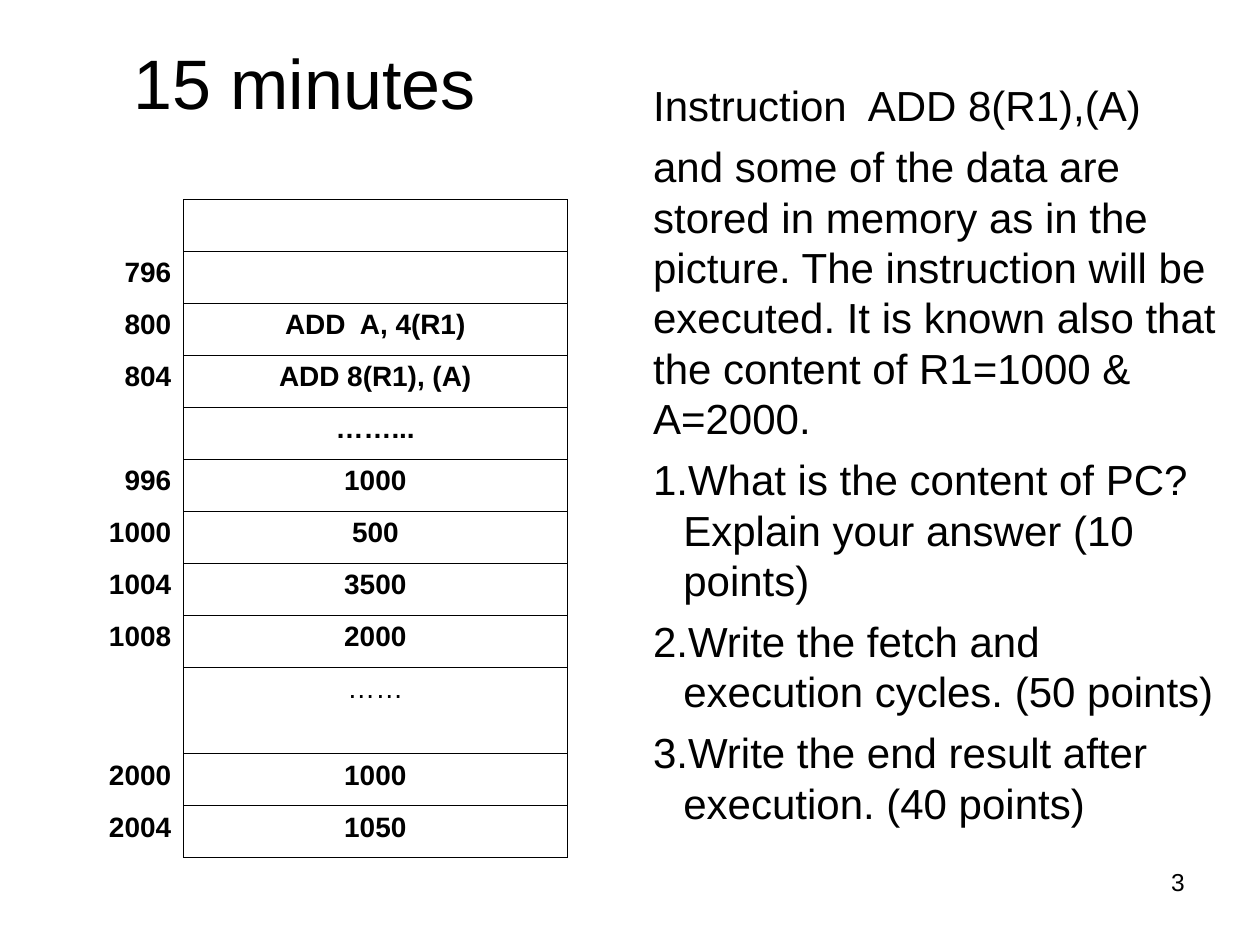
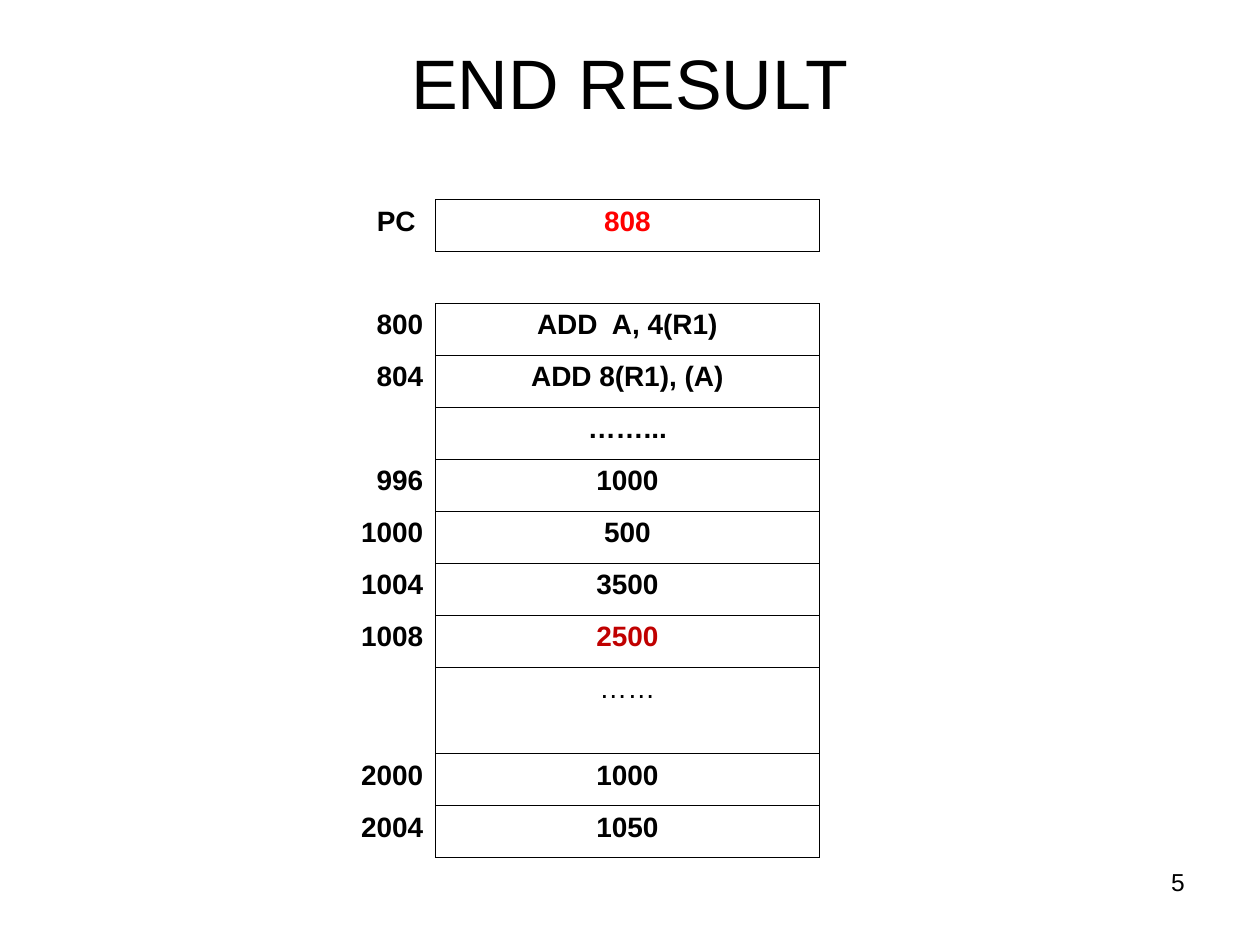
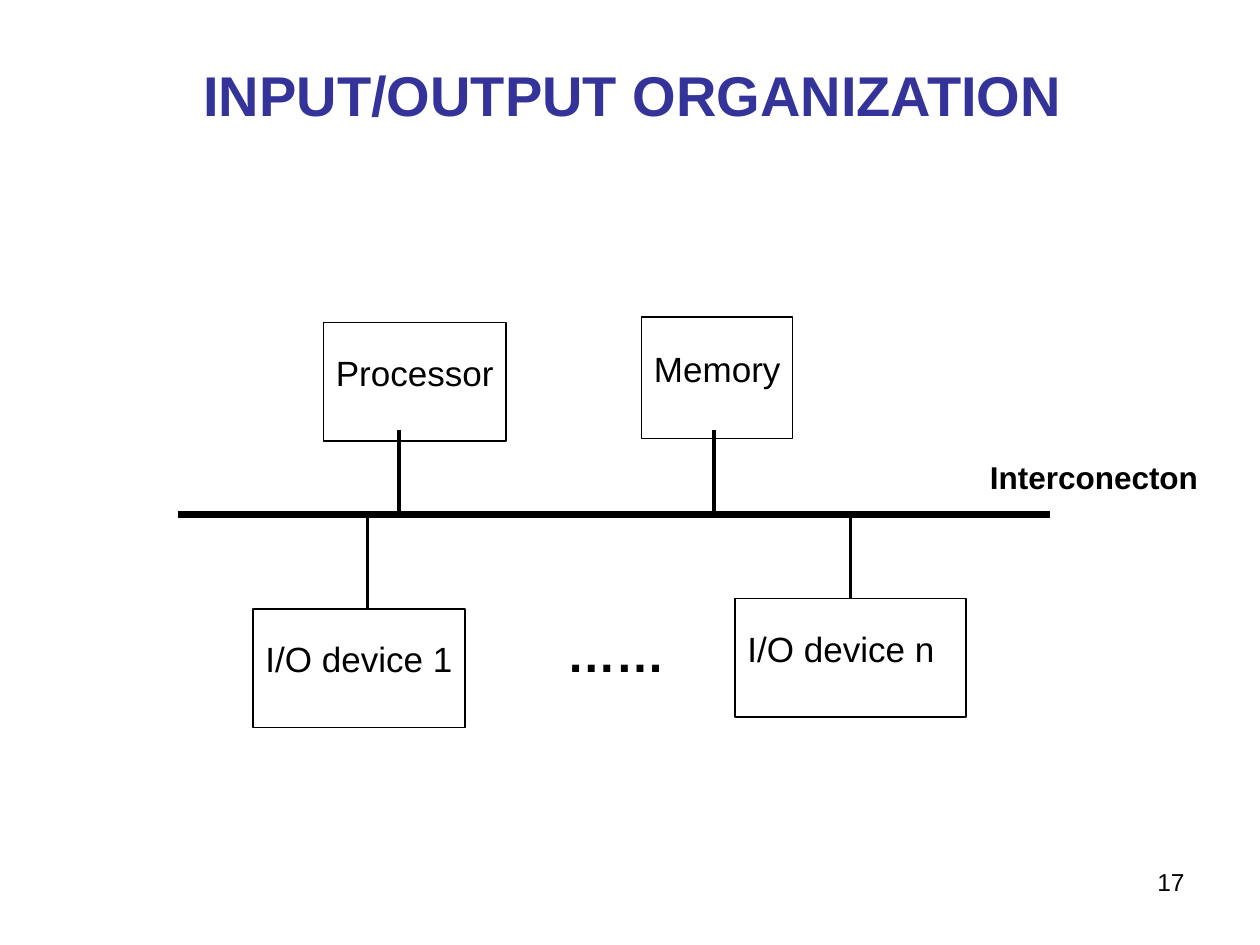
"""Build three lecture slides on memory addressing and I/O organization."""
from pptx import Presentation
from pptx.dml.color import RGBColor
from pptx.enum.shapes import MSO_CONNECTOR as Connector, MSO_SHAPE as Shape
from pptx.enum.text import MSO_ANCHOR as Anchor, MSO_AUTO_SIZE as AutoSize, PP_ALIGN as Align
from pptx.oxml.ns import qn
from pptx.util import Inches, Pt
from lxml.etree import SubElement

BLACK, RED, DARK_RED, NAVY = "000000", "FF0000", "C00000", "333399"
TITLE_ONLY, TITLE_AND_BODY = 5, 1
DOTS = "……"


def color(code):
    return RGBColor.from_string(code)


class Slides:
    font = "Arial"
    columns, rows = 120, 90
    width, height = 10, 7.5
    value_width, row_height, tall_row = 36.5, 4.95, 8.25
    hang = 0.24

    def __init__(self):
        self.deck = Presentation()
        self.deck.slide_width = Inches(self.width)
        self.deck.slide_height = Inches(self.height)
        self.page = None

    def x(self, column):
        return Inches(column * self.width / self.columns)

    def y(self, row):
        return Inches(row * self.height / self.rows)

    def area(self, left, top, width, height):
        return self.x(left), self.y(top), self.x(width), self.y(height)

    def style(self, para, size, code=BLACK, bold=False, align=Align.LEFT):
        para.alignment = align
        for span in para.runs:
            span.font.name, span.font.size = self.font, Pt(size)
            span.font.bold, span.font.color.rgb = bold, color(code)

    def place(self, holder, area):
        holder.left, holder.top, holder.width, holder.height = self.area(*area)
        holder.text_frame.auto_size = AutoSize.NONE
        return holder.text_frame

    def new_page(self, title, area, number, layout=TITLE_ONLY, size=40, code=BLACK, bold=False):
        self.page = self.deck.slides.add_slide(self.deck.slide_layouts[layout])
        frame = self.place(self.page.shapes.title, area)
        frame.text = title
        frame.vertical_anchor = Anchor.MIDDLE
        self.style(frame.paragraphs[0], size, code, bold, Align.CENTER)
        self.label(number, (86, 82, 28, 6.2), 14, align=Align.RIGHT)

    def label(self, text, area, size, bold=False, align=Align.LEFT):
        frame = self.page.shapes.add_textbox(*self.area(*area)).text_frame
        frame.word_wrap = True
        frame.text = text
        self.style(frame.paragraphs[0], size, bold=bold, align=align)

    def body(self, area, intro, questions):
        frame = self.place(self.page.placeholders[1], area)
        frame.text = "\n".join(intro + questions)
        for index, para in enumerate(frame.paragraphs):
            numbered = index >= len(intro)
            indent = Inches(self.hang) if numbered else 0
            properties = para._p.get_or_add_pPr()
            properties.set("marL", str(indent))
            properties.set("indent", str(-indent))
            if numbered:
                SubElement(properties, qn("a:buFont"), typeface=self.font)
                SubElement(properties, qn("a:buAutoNum"), type="arabicPeriod")
            else:
                SubElement(properties, qn("a:buNone"))
            para.space_before = Pt(6 if index else 0)
            self.style(para, 24)

    def borders(self, cell, sides):
        properties = cell._tc.get_or_add_tcPr()
        for side in "LRTB":
            line = SubElement(properties, qn("a:ln" + side), w=str(Pt(0.45)))
            if side in sides:
                fill = SubElement(line, qn("a:solidFill"))
                SubElement(fill, qn("a:srgbClr"), val=BLACK)
            else:
                SubElement(line, qn("a:noFill"))
        cell.fill.background()

    def memory(self, left, top, label_width, words, gap=None, marks=None):
        marks = marks or {}
        heights = [self.tall_row if value == DOTS else self.row_height for _, value in words]
        area = self.area(left, top, label_width + self.value_width, sum(heights))
        table = self.page.shapes.add_table(len(words), 2, *area).table
        table.first_row = table.horz_banding = False
        for column, width in zip(table.columns, (label_width, self.value_width)):
            column.width = self.x(width)
        for index, (word, height) in enumerate(zip(words, heights)):
            table.rows[index].height = self.y(height)
            edges = ("", "TB") if index == gap else ("R", "LRTB")
            for column, align in enumerate((Align.RIGHT, Align.CENTER)):
                cell = table.cell(index, column)
                cell.text = word[column]
                code = marks.get(index, BLACK) if column else BLACK
                self.style(cell.text_frame.paragraphs[0], 16, code, word[column] != DOTS, align)
                self.borders(cell, edges[column])
        return table

    def unit(self, text, area, wrap=False):
        box = self.page.shapes.add_shape(Shape.RECTANGLE, *self.area(*area))
        box.shadow.inherit = False
        box.fill.background()
        box.line.color.rgb, box.line.width = color(BLACK), Pt(0.75)
        frame = box.text_frame
        frame.word_wrap = wrap
        frame.vertical_anchor = Anchor.MIDDLE
        frame.margin_bottom = Inches(0.2)
        frame.text = text
        self.style(frame.paragraphs[0], 20)
        return box

    def line(self, start, end, weight):
        points = self.x(start[0]), self.y(start[1]), self.x(end[0]), self.y(end[1])
        link = self.page.shapes.add_connector(Connector.STRAIGHT, *points)
        link.line.color.rgb, link.line.width = color(BLACK), Pt(weight)
        SubElement(link._element.spPr, qn("a:effectLst"))
        return link


def stored_words(result):
    return [
        ("800", "ADD  A, 4(R1)"), ("804", "ADD 8(R1), (A)"), ("", "……..."),
        ("996", "1000"), ("1000", "500"), ("1004", "3500"), ("1008", result),
        ("", DOTS), ("2000", "1000"), ("2004", "1050"),
    ]


def exercise(slides):
    slides.new_page("15 minutes", (6, 3.6, 46, 8.4), "3", TITLE_AND_BODY)
    slides.memory(5, 19, 12.5, [("", ""), ("796", "")] + stored_words("2000"))
    intro = [
        "Instruction  ADD 8(R1),(A)",
        "and some of the data are stored in memory as in the picture. The instruction "
        "will be executed. It is known also that the content of R1=1000 & A=2000.",
    ]
    questions = [
        "What is the content of PC? Explain your answer (10 points)",
        "Write the fetch and execution cycles. (50 points)",
        "Write the end result after execution. (40 points)",
    ]
    slides.body((61, 7, 56, 78), intro, questions)


def end_result(slides):
    slides.new_page("END RESULT", (6, 3.6, 108, 8.4), "5")
    words = [("PC", "808"), ("", "")] + stored_words("2500")
    table = slides.memory(28, 19, 13.5, words, gap=1, marks={0: RED, 8: DARK_RED})
    table.cell(0, 0).margin_right = Inches(0.16)


def organization(slides):
    slides.new_page("INPUT/OUTPUT ORGANIZATION ", (10, 3, 102, 12), "17",
                    size=32, code=NAVY, bold=True)
    bus = 49
    slides.line((17, bus), (100, bus), 4.5)
    slides.unit("Processor", (30.8, 30.7, 17.4, 11.3))
    slides.unit("Memory", (61.1, 30.2, 14.4, 11.6))
    slides.unit("I/O device 1", (24.1, 58, 20.2, 11.3))
    last_device = slides.unit("I/O device n", (70, 57, 22, 11.3), wrap=True)
    slides.label(DOTS, (52.8, 58.8, 13, 6.8), 28, bold=True)
    slides.label("Interconecton", (93.1, 43, 23, 4.8), 18, bold=True)
    for column in (38, 68):
        slides.line((column, 41), (column, bus), 2.25)
    slides.line((35, bus), (35, 58), 2.25)
    slides.line((81, bus), (81, 57), 2.25).end_connect(last_device, 0)


def main():
    slides = Slides()
    exercise(slides)
    end_result(slides)
    organization(slides)
    slides.deck.save("out.pptx")


if __name__ == "__main__":
    main()
